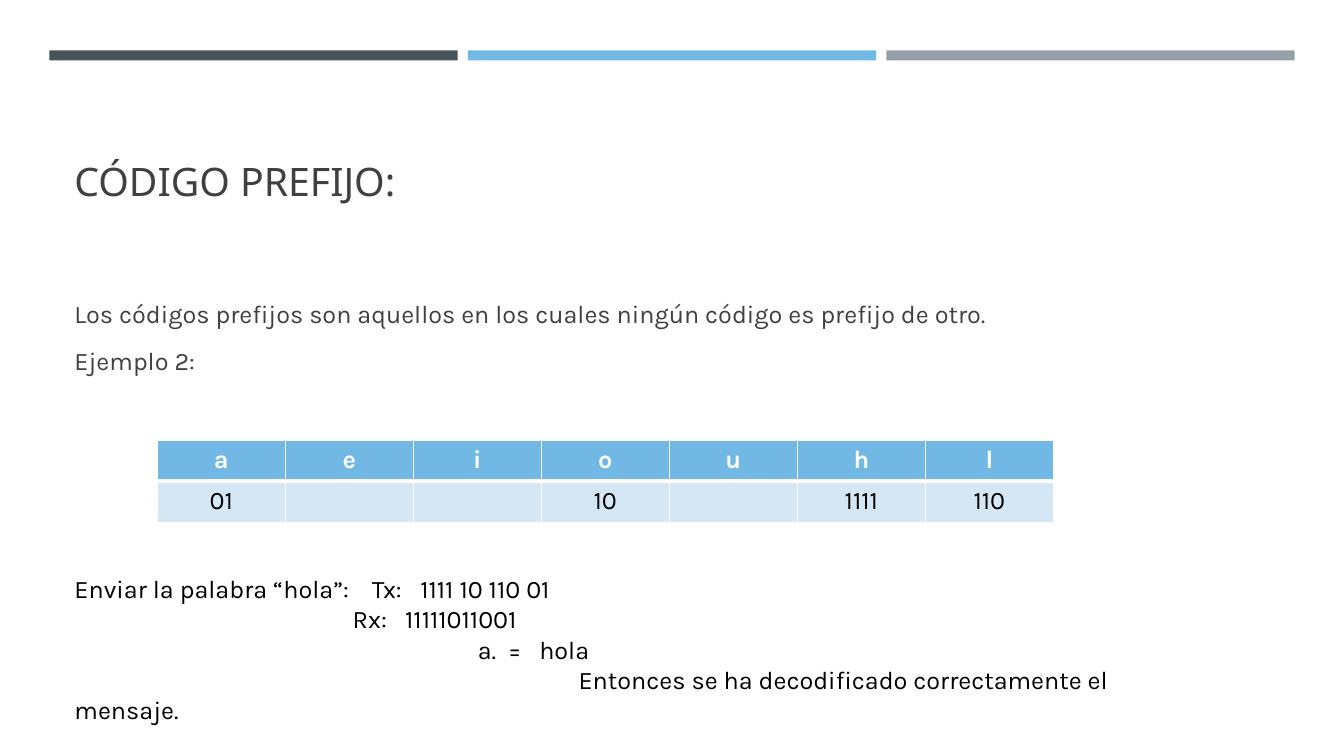
"""Builds the slide on prefix codes, with a code table and a decoding example."""
from lxml import etree
from pptx import Presentation
from pptx.dml.color import RGBColor
from pptx.enum import shapes, text
from pptx.oxml.ns import qn
from pptx.util import Inches, Pt

BODY, HEAD = "Karla", "Noto Sans"
GREY, BLACK, WHITE, BLUE, PALE = "404040", "000000", "FFFFFF", "71B9E4", "D5E6F5"
BARS = ["465359", BLUE, "969FA7"]
TITLE = "CÓDIGO PREFIJO:"
INTRO = ["Los códigos prefijos son aquellos en los cuales ningún código es prefijo de otro.",
         "Ejemplo 2:"]
CODES = [("a", "01"), ("e", ""), ("i", ""), ("o", "10"), ("u", ""), ("h", "1111"), ("l", "110")]
EXAMPLE = [("Enviar la palabra “hola”:\tTx:\t1111 10 110 01", [2.95, 3.43]),
           ("\tRx:\t11111011001", [2.76, 3.28]),
           ("\ta.\t=\thola", [4, 4.3, 4.61]),
           ("\tEntonces se ha decodificado correctamente el mensaje.", [5])]


def rgb(color):
    return RGBColor.from_string(color)


def add_run(p, words, color, size=18, font=BODY, bold=False):
    r = p.add_run()
    r.text = words
    r.font.size, r.font.name, r.font.bold = Pt(size), font, bold
    r.font.color.rgb = rgb(color)


def add_text(box, lines, color, anchor, **style):
    tf = s.shapes.add_textbox(*map(Inches, box)).text_frame
    tf.word_wrap, tf.vertical_anchor = True, anchor
    for i, line in enumerate(lines):
        p = tf.add_paragraph() if i else tf.paragraphs[0]
        add_run(p, line, color, **style)
    return tf.paragraphs


def set_tabs(p, stops):
    tabs = etree.SubElement(p._p.get_or_add_pPr(), qn("a:tabLst"))
    for stop in stops:
        etree.SubElement(tabs, qn("a:tab"), pos=str(Inches(stop)), algn="l")


def set_borders(cell, bottom):
    pr = cell._tc.get_or_add_tcPr()
    for i, (side, width) in enumerate(zip("LRTB", (1, 1, 1, bottom))):
        ln = etree.Element(qn("a:ln" + side), w=str(Pt(width)))
        fill = etree.SubElement(ln, qn("a:solidFill"))
        etree.SubElement(fill, qn("a:srgbClr"), val=WHITE)
        pr.insert(i, ln)


prs = Presentation()
prs.slide_width, prs.slide_height = Inches(13.33), Inches(7.5)
s = prs.slides.add_slide(prs.slide_layouts[6])

for i, color in enumerate(BARS):
    sp = s.shapes.add_shape(shapes.MSO_SHAPE.RECTANGLE, Inches(0.49 + 4.15 * i), Inches(0.5),
                            Inches(4.05), Inches(0.1))
    sp.shadow.inherit = False
    sp.fill.solid()
    sp.fill.fore_color.rgb = rgb(color)
    sp.line.fill.background()

add_text((0.64, 0.77, 12.06, 1.31), [TITLE], GREY, text.MSO_ANCHOR.BOTTOM, size=28, font=HEAD)
for p in add_text((0.64, 2.26, 9.99, 2.13), INTRO, GREY, text.MSO_ANCHOR.MIDDLE):
    p.line_spacing, p.space_before, p.space_after = 1.1, Pt(4), Pt(6)

table = s.shapes.add_table(2, len(CODES), Inches(1.56), Inches(4.37),
                           Inches(1.27 * len(CODES)), Inches(0.81)).table
for col, pair in enumerate(CODES):
    for row, (words, fill, color, bottom) in enumerate(zip(pair, (BLUE, PALE), (WHITE, BLACK), (3, 1))):
        cell = table.cell(row, col)
        cell.fill.solid()
        cell.fill.fore_color.rgb = rgb(fill)
        set_borders(cell, bottom)
        p = cell.text_frame.paragraphs[0]
        p.alignment = text.PP_ALIGN.CENTER
        if words:
            add_run(p, words, color, bold=row == 0)

lines, stops = zip(*EXAMPLE)
for p, tabs in zip(add_text((0.64, 5.64, 11.45, 1.31), lines, BLACK, text.MSO_ANCHOR.TOP), stops):
    set_tabs(p, tabs)

prs.save("out.pptx")
